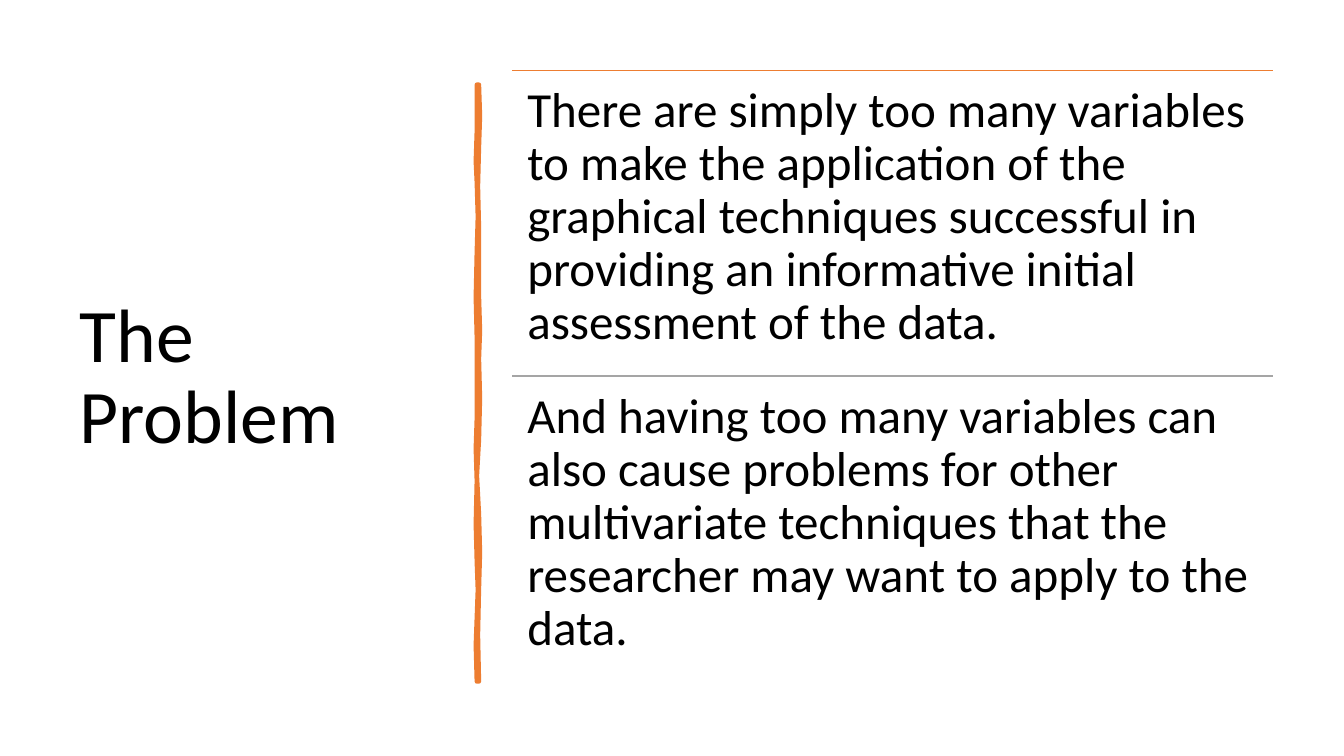
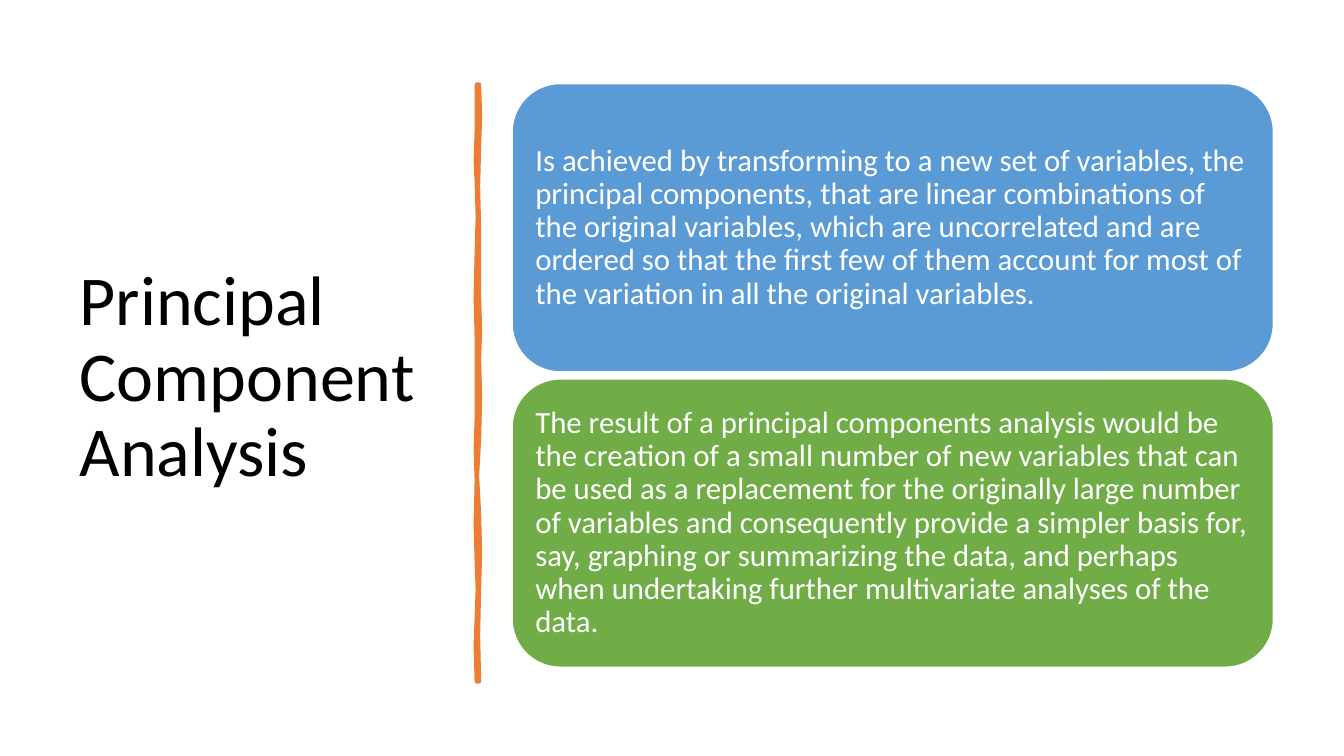
from dataclasses import dataclass

from lxml import etree
from pptx import Presentation
from pptx.dml.color import RGBColor
from pptx.enum.shapes import MSO_CONNECTOR, MSO_SHAPE
from pptx.enum.text import MSO_ANCHOR, MSO_AUTO_SIZE, PP_ALIGN
from pptx.oxml.ns import qn
from pptx.slide import Slide
from pptx.text.text import TextFrame
from pptx.util import Inches, Pt

BLACK = RGBColor(0x00, 0x00, 0x00)
WHITE = RGBColor(0xFF, 0xFF, 0xFF)
ORANGE = RGBColor(0xED, 0x7D, 0x31)
GRAY = RGBColor(0xA5, 0xA5, 0xA5)
BLUE = RGBColor(0x5B, 0x9B, 0xD5)
GREEN = RGBColor(0x70, 0xAD, 0x47)

FONT = "Calibri"
TITLE_ONLY = 5
CONTENT_LEFT, CONTENT_WIDTH = 5.08, 7.55
RULED_TOP, RULED_HEIGHT = 0.7, 3.03
CARD_TOP, CARD_HEIGHT, CARD_PITCH = 0.83, 2.86, 2.93

# Hand-drawn divider: down the right edge, then up the left edge.
STROKE_RIGHT = [
    (4.75, 0.84), (4.76, 1.15), (4.75, 1.46), (4.74, 1.85), (4.75, 2.26),
    (4.75, 2.94), (4.76, 3.28), (4.75, 3.56), (4.76, 3.95), (4.75, 4.36),
    (4.73, 4.72), (4.75, 5.1), (4.76, 5.48), (4.75, 5.84), (4.74, 6.3),
    (4.75, 6.76),
]
STROKE_LEFT = [
    (4.73, 6.76), (4.72, 6.4), (4.73, 6.13), (4.74, 5.85), (4.73, 5.57),
    (4.72, 5.2), (4.73, 4.77), (4.72, 4.45), (4.73, 4.15), (4.73, 3.35),
    (4.72, 2.95), (4.73, 2.5), (4.74, 2.15), (4.73, 1.81), (4.72, 1.6),
    (4.73, 1.3), (4.73, 0.84),
]


@dataclass(frozen=True)
class Statement:
    """A passage and the accent colour that marks it."""

    text: str
    accent: RGBColor


PROBLEMS = [
    Statement("There are simply too many variables to make the application of "
              "the graphical techniques successful in providing an informative "
              "initial assessment of the data.", ORANGE),
    Statement("And having too many variables can also cause problems for other "
              "multivariate techniques that the researcher may want to apply "
              "to the data.", GRAY),
]
ANALYSIS = [
    Statement("Is achieved by transforming to a new set of variables, the "
              "principal components, that are linear combinations of the "
              "original variables, which are uncorrelated and are ordered so "
              "that the first few of them account for most of the variation in "
              "all the original variables.", BLUE),
    Statement("The result of a principal components analysis would be the "
              "creation of a small number of new variables that can be used as "
              "a replacement for the originally large number of variables and "
              "consequently provide a simpler basis for, say, graphing or "
              "summarizing the data, and perhaps when undertaking further "
              "multivariate analyses of the data.", GREEN),
]


def write(frame: TextFrame, text: str, size: int, color: RGBColor,
          anchor: MSO_ANCHOR, inset: tuple[float, float]) -> None:
    """Fill a frame with one left-aligned paragraph; inset is (x, y)."""
    frame.word_wrap = True
    frame.auto_size = MSO_AUTO_SIZE.NONE
    frame.vertical_anchor = anchor
    frame.margin_left = frame.margin_right = Inches(inset[0])
    frame.margin_top = frame.margin_bottom = Inches(inset[1])
    passage = frame.paragraphs[0]
    passage.text = text
    passage.alignment = PP_ALIGN.LEFT
    passage.line_spacing = 0.9
    passage.font.name = FONT
    passage.font.size = Pt(size)
    passage.font.color.rgb = color


def draw_divider(slide: Slide) -> None:
    """Draw the wavy vertical stroke beside the title."""
    start, *rest = [(Inches(x), Inches(y)) for x, y in STROKE_RIGHT + STROKE_LEFT]
    outline = slide.shapes.build_freeform(*start)
    outline.add_line_segments(rest, close=True)
    stroke = outline.convert_to_shape()
    stroke.shadow.inherit = False
    stroke.fill.solid()
    stroke.fill.fore_color.rgb = ORANGE
    stroke.line.color.rgb = ORANGE
    stroke.line.width = Pt(3.25)


def add_titled_slide(deck: Presentation, title: str, size: int) -> Slide:
    """Add a slide with the side title and the divider."""
    slide = deck.slides.add_slide(deck.slide_layouts[TITLE_ONLY])
    heading = slide.shapes.title
    heading.left, heading.top = Inches(0.69), Inches(0.7)
    heading.width, heading.height = Inches(3.74), Inches(6.11)
    write(heading.text_frame, title, size, BLACK, MSO_ANCHOR.MIDDLE, (0.1, 0.05))
    draw_divider(slide)
    return slide


def draw_ruled(slide: Slide, statement: Statement, top: float) -> None:
    """Draw a passage under a thin rule."""
    rule = slide.shapes.add_connector(
        MSO_CONNECTOR.STRAIGHT, Inches(CONTENT_LEFT), Inches(top),
        Inches(CONTENT_LEFT + CONTENT_WIDTH), Inches(top))
    rule.line.color.rgb = statement.accent
    rule.line.width = Pt(1)
    etree.SubElement(rule.element.spPr, qn("a:effectLst"))
    passage = slide.shapes.add_textbox(
        Inches(CONTENT_LEFT), Inches(top),
        Inches(CONTENT_WIDTH), Inches(RULED_HEIGHT))
    write(passage.text_frame, statement.text, 35, BLACK,
          MSO_ANCHOR.TOP, (0.15, 0.15))


def draw_card(slide: Slide, statement: Statement, top: float) -> None:
    """Draw a passage on a rounded, filled card."""
    card = slide.shapes.add_shape(
        MSO_SHAPE.ROUNDED_RECTANGLE, Inches(CONTENT_LEFT), Inches(top),
        Inches(CONTENT_WIDTH), Inches(CARD_HEIGHT))
    card.shadow.inherit = False
    card.fill.solid()
    card.fill.fore_color.rgb = statement.accent
    card.line.color.rgb = WHITE
    card.line.width = Pt(1)
    write(card.text_frame, statement.text, 22, WHITE,
          MSO_ANCHOR.MIDDLE, (0.09, 0.09))


def main() -> None:
    """Build and save the deck."""
    deck = Presentation()
    deck.slide_width, deck.slide_height = Inches(13.33), Inches(7.5)

    problem = add_titled_slide(deck, "The Problem", 54)
    for row, statement in enumerate(PROBLEMS):
        draw_ruled(problem, statement, RULED_TOP + row * RULED_HEIGHT)

    analysis = add_titled_slide(deck, "Principal Component Analysis", 50)
    for row, statement in enumerate(ANALYSIS):
        draw_card(analysis, statement, CARD_TOP + row * CARD_PITCH)

    deck.save("out.pptx")


main()
